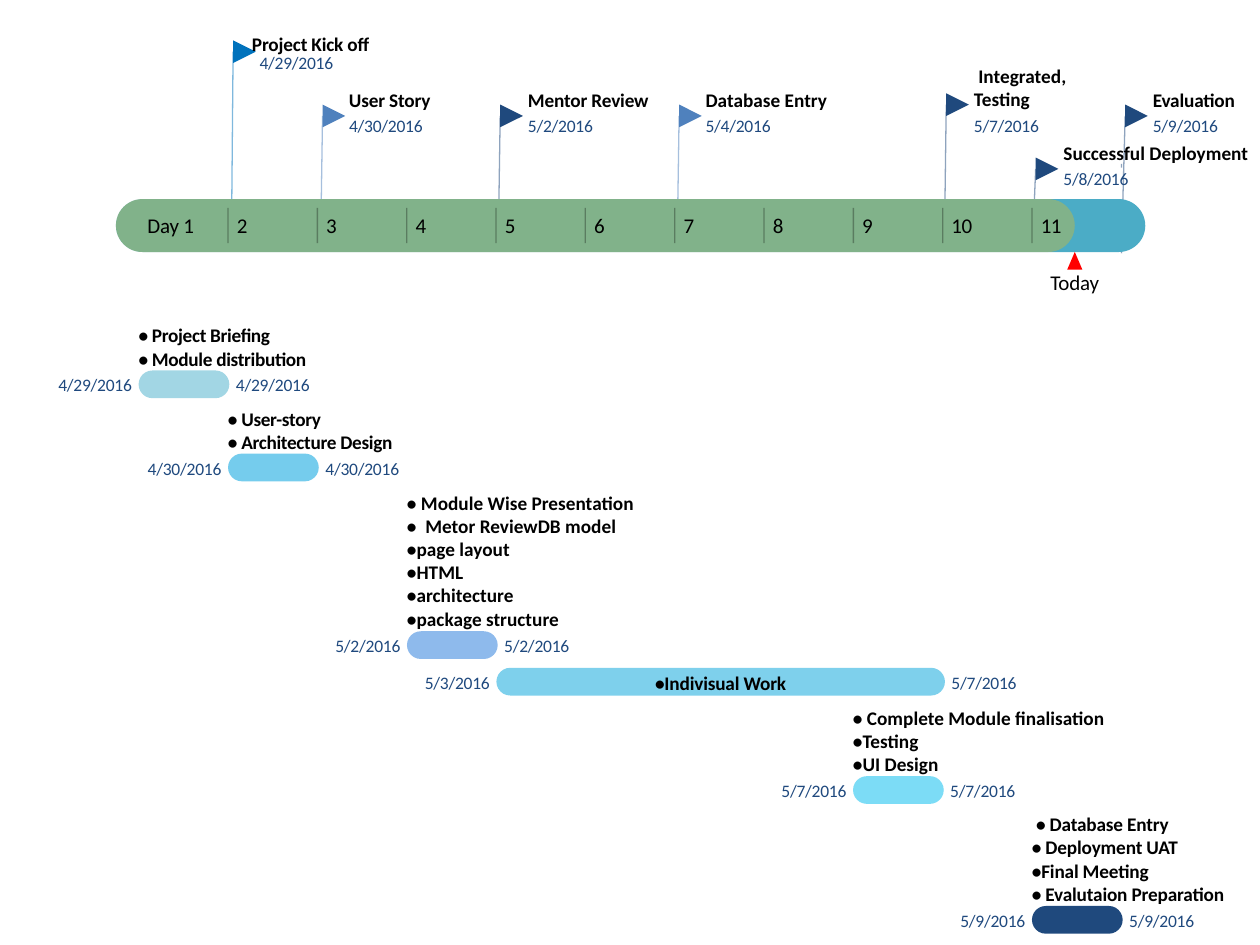
import lxml.etree
import pptx
import pptx.dml.color
import pptx.enum.shapes
import pptx.enum.text
import pptx.oxml.ns
import pptx.util

Inches = pptx.util.Inches
RGB = pptx.dml.color.RGBColor.from_string
SHAPE = pptx.enum.shapes.MSO_SHAPE
ALIGN = pptx.enum.text.PP_ALIGN
qn = pptx.oxml.ns.qn

C = {"black": "000000", "date": "1F497E", "navy": "1F497D", "blue": "4F81BD",
     "kickoff": "0072BC", "band": "4BACC6", "elapsed": "FFC000", "today": "FF0000",
     "briefing": "A2D6E4", "story": "75CCED", "module": "8EBAEC",
     "work": "7ED0EC", "testing": "7CDCF6"}

prs = pptx.Presentation()
prs.slide_width, prs.slide_height = Inches(10), Inches(7.5)
s = prs.slides.add_slide(prs.slide_layouts[6])


def add_line(x1, y1, x2, y2, color, opacity):
    ln = s.shapes.add_connector(pptx.enum.shapes.MSO_CONNECTOR.STRAIGHT,
                                Inches(x1), Inches(y1), Inches(x2), Inches(y2))
    ln.line.width = pptx.util.Pt(0.75)
    ln.line.color.rgb = RGB(C[color])
    spPr = ln._element.spPr
    clr = spPr.find(".//" + qn("a:srgbClr"))
    lxml.etree.SubElement(clr, qn("a:alpha"), val=str(opacity * 1000))
    lxml.etree.SubElement(spPr, qn("a:effectLst"))


def add_text(text, x, y, w, h, size, color="black", bold=False, align=ALIGN.LEFT,
             spacing=-0.1, wrap=True):
    tf = s.shapes.add_textbox(Inches(x), Inches(y), Inches(w), Inches(h)).text_frame
    tf.margin_left = tf.margin_right = tf.margin_top = tf.margin_bottom = 0
    tf.vertical_anchor = pptx.enum.text.MSO_ANCHOR.MIDDLE
    tf.word_wrap = wrap
    tf.text = text
    for p in tf.paragraphs:
        p.alignment = align
        for r in p.runs:
            r.font.name = "Calibri"
            r.font.size = pptx.util.Pt(size)
            r.font.bold = bold
            r.font.color.rgb = RGB(C[color])
            r._r.get_or_add_rPr().set("spc", str(round(spacing * 100)))


# Milestones: flag left, flag top, colour, title box, date left and top, title, date, spacing
milestones = [
    (1.85, 0.32, "kickoff", (2, 0.25, 0.96, 0.19), 2.06, 0.41, "Project Kick off", "4/29/2016", -0.1),
    (2.56, 0.83, "blue", (2.77, 0.7, 0.67, 0.19), 2.77, 0.91, "User Story", "4/30/2016", -0.1),
    (3.97, 0.83, "navy", (4.19, 0.7, 0.99, 0.19), 4.19, 0.91, "Mentor Review", "5/2/2016", -0.1),
    (5.39, 0.83, "blue", (5.6, 0.7, 0.97, 0.19), 5.6, 0.91, "Database Entry", "5/4/2016", 0),
    (7.51, 0.74, "navy", (7.73, 0.51, 0.78, 0.37), 7.73, 0.91, " Integrated, Testing", "5/7/2016", 0),
    (8.22, 1.25, "navy", (8.44, 1.12, 1.47, 0.19), 8.44, 1.33, "Successful Deployment", "5/8/2016", 0),
    (8.93, 0.83, "navy", (9.15, 0.7, 0.67, 0.19), 9.15, 0.91, "Evaluation", "5/9/2016", -0.1),
]

# Tasks: bar left, top, width, colour, start, end, label width, label, spacing
tasks = [
    (1.1, 2.94, 0.72, "briefing", "4/29/2016", "4/29/2016", 1.39,
     "• Project Briefing\n• Module distribution", -0.2),
    (1.81, 3.6, 0.72, "story", "4/30/2016", "4/30/2016", 1.36,
     "• User-story\n• Architecture Design", -0.2),
    (3.23, 5.01, 0.72, "module", "5/2/2016", "5/2/2016", 1.81,
     "• Module Wise Presentation\n•  Metor ReviewDB model\n•page layout\n•HTML\n"
     "•architecture\n•package structure", 0),
    (3.94, 5.3, 3.56, "work", "5/3/2016", "5/7/2016", 1.07, "•Indivisual Work", -0.1),
    (6.77, 6.16, 0.72, "testing", "5/7/2016", "5/7/2016", 2,
     "• Complete Module finalisation\n•Testing\n•UI Design", 0),
    (8.19, 7.19, 0.72, "navy", "5/9/2016", "5/9/2016", 1.57,
     " • Database Entry\n• Deployment UAT\n•Final Meeting\n• Evalutaion Preparation", -0.1),
]

# Flag poles, the last one crossing the band
add_line(8.9, 1.3, 8.9, 1.33, "navy", 50)
for x, y, color, *rest in milestones[:-1]:
    add_line(x, y + 0.09, x - 0.01, 1.58, color, 50)
add_line(8.93, 0.92, 8.9, 2.01, "navy", 50)

# Band, today marker, flags and task bars
shapes = [(SHAPE.ROUNDED_RECTANGLE, 0.92, 1.58, 8.17, 0.42, "band"),
          (SHAPE.ROUNDED_RECTANGLE, 0.92, 1.58, 7.61, 0.42, "elapsed"),
          (SHAPE.ISOSCELES_TRIANGLE, 8.47, 2, 0.12, 0.14, "today")]
shapes += [(SHAPE.FLOWCHART_MERGE, m[0], m[1], 0.18, 0.18, m[2]) for m in milestones]
shapes += [(SHAPE.ROUNDED_RECTANGLE, t[0], t[1], t[2], 0.22, t[3]) for t in tasks]
for kind, x, y, w, h, color in shapes:
    sp = s.shapes.add_shape(kind, Inches(x), Inches(y), Inches(w), Inches(h))
    sp.shadow.inherit = False
    sp.fill.solid()
    sp.fill.fore_color.rgb = RGB(C[color])
    sp.line.fill.background()
    if kind == SHAPE.ROUNDED_RECTANGLE:
        sp.adjustments[0] = 0.5
    elif kind == SHAPE.FLOWCHART_MERGE:
        sp.rotation = 270
    if color == "elapsed":
        clr = sp._element.spPr.find(".//" + qn("a:srgbClr"))
        lxml.etree.SubElement(clr, qn("a:alpha"), val="30000")

# Day scale
add_text("Today", 8.33, 2.14, 0.4, 0.2, 12, align=ALIGN.CENTER, wrap=False)
add_text("Day 1", 1.17, 1.69, 0.5, 0.2, 12, wrap=False)
for day in range(2, 12):
    x = 1.81 + (day - 2) * 0.709
    add_line(x, 1.65, x, 1.93, "black", 30)
    add_text(str(day), x + 0.07, 1.69, 0.12 * len(str(day)), 0.2, 12,
             spacing=-0.3, wrap=False)

# Milestone titles and dates
date_width = {9: 0.61, 8: 0.54}
for x, y, color, box, date_x, date_y, title, date, spacing in milestones:
    add_text(title, *box, 11, bold=True, spacing=spacing)
    add_text(date, date_x, date_y, date_width[len(date)], 0.17, 10, "date")

# Task labels and dates
for x, y, w, color, start, end, label_w, label, spacing in tasks:
    start_w, end_w = date_width[len(start)], date_width[len(end)]
    add_text(start, x - 0.04 - start_w, y + 0.03, start_w, 0.17, 10, "date", align=ALIGN.CENTER)
    add_text(end, x + w + 0.04, y + 0.03, end_w, 0.17, 10, "date", align=ALIGN.CENTER)
    if color == "work":
        add_text(label, x + (w - label_w) / 2, y + 0.02, label_w, 0.19, 11, bold=True,
                 align=ALIGN.CENTER, spacing=spacing)
    else:
        h = 0.187 * len(label.split("\n"))
        add_text(label, x, y - h, label_w, h, 11, bold=True, spacing=spacing)

prs.save("out.pptx")
